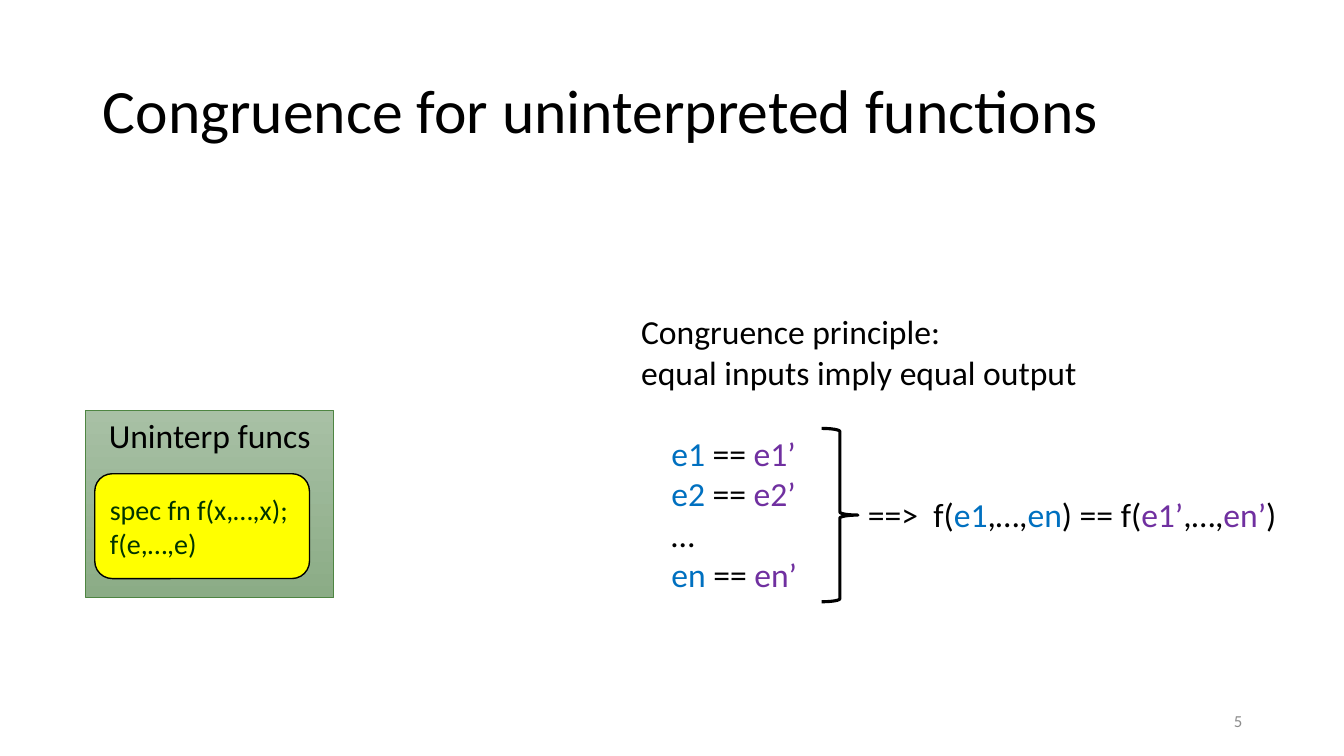
from pptx import Presentation
from pptx.dml.color import RGBColor
from pptx.enum.shapes import MSO_SHAPE as SHAPE
from pptx.enum.text import MSO_ANCHOR as ANCHOR, PP_ALIGN as ALIGN
from pptx.util import Inches, Pt
from lxml import etree

FONT = "Calibri"
BLACK, BLUE, PURPLE = "000000", "0070C0", "7030A0"
GREY, DARK_GREEN, YELLOW = "8C8C8C", "003300", "FFFF00"
A_NS = "{http://schemas.openxmlformats.org/drawingml/2006/main}"


def color(hex_code):
    return RGBColor.from_string(hex_code)


def write(tf, lines, size, align=ALIGN.LEFT, anchor=ANCHOR.TOP):
    """Fill a text frame; each line is a list of (text, colour) runs."""
    tf.word_wrap = True
    tf.vertical_anchor = anchor
    for i, runs in enumerate(lines):
        p = tf.add_paragraph() if i else tf.paragraphs[0]
        p.alignment = align
        for text, hex_code in runs:
            r = p.add_run()
            r.text = text
            r.font.name, r.font.size = FONT, Pt(size)
            r.font.color.rgb = color(hex_code)


def add_text(s, box, lines, size, **layout):
    tf = s.shapes.add_textbox(*map(Inches, box)).text_frame
    write(tf, lines, size, **layout)
    return tf


def add_outlined(s, kind, box, line, width):
    sp = s.shapes.add_shape(kind, *map(Inches, box))
    sp.shadow.inherit = False
    sp.line.color.rgb = color(line)
    sp.line.width = Pt(width)
    return sp


def add_title(s, box, text):
    sp = s.shapes.title
    sp.left, sp.top, sp.width, sp.height = map(Inches, box)
    write(sp.text_frame, [[(text, BLACK)]], 44, anchor=ANCHOR.MIDDLE)
    sp.text_frame.paragraphs[0].line_spacing = 0.9


def add_function_panel(s, x, y, w, h):
    panel = add_outlined(s, SHAPE.RECTANGLE, (x, y, w, h), "4E8542", 0.5)
    panel.fill.gradient()
    panel.fill.gradient_angle = 270
    for stop, (position, hex_code) in zip(panel.fill.gradient_stops,
                                          [(0, "A8C0A5"), (1, "8BAC86")]):
        stop.position = position
        stop.color.rgb = color(hex_code)
    write(panel.text_frame, [[("Uninterp funcs", BLACK)]], 24, align=ALIGN.CENTER)

    code = add_outlined(s, SHAPE.ROUNDED_RECTANGLE,
                        (x + 0.09, y + 0.63, 2.13, 1.04), BLACK, 1)
    code.fill.solid()
    code.fill.fore_color.rgb = color(YELLOW)
    lines = [[(text, DARK_GREEN)] for text in ("spec fn f(x,…,x);", "f(e,…,e)")]
    write(code.text_frame, lines, 20, anchor=ANCHOR.MIDDLE)


def add_congruence_rule(s, x, y, w, h):
    """Principle, equal inputs, brace and implied equality."""
    def equality(name):
        return [(name, BLUE), (" == ", BLACK), (name + "’", PURPLE)]

    principle = [[("Congruence principle:", BLACK)],
                 [("equal inputs imply equal output", BLACK)]]
    premises = [equality("e1"), equality("e2"), [("…", BLACK)], equality("en")]
    tf = add_text(s, (x, y, w, h), principle + premises, 24)
    premise_paragraphs = tf.paragraphs[len(principle):]
    premise_paragraphs[0].space_before = Pt(29.3)
    for p in premise_paragraphs:
        p._p.get_or_add_pPr().set("marL", str(Inches(0.3)))

    brace = add_outlined(s, SHAPE.RIGHT_BRACE,
                         (x + 1.89, y + 1.21, 0.36, 1.72), BLACK, 2.25)
    brace.fill.background()

    conclusion = [("==>\tf(", BLACK), ("e1", BLUE), (",…,", BLACK), ("en", BLUE),
                  (") == f(", BLACK), ("e1’", PURPLE), (",…,", BLACK),
                  ("en’", PURPLE), (")", BLACK)]
    tf = add_text(s, (x + 2.25, y + 1.81, 4.4, 0.5), [conclusion], 24)
    tabs = etree.SubElement(tf.paragraphs[0]._p.get_or_add_pPr(), A_NS + "tabLst")
    etree.SubElement(tabs, A_NS + "tab", pos=str(Inches(0.65)), algn="l")


def main():
    prs = Presentation()
    prs.slide_width, prs.slide_height = Inches(13.33), Inches(7.5)
    s = prs.slides.add_slide(prs.slide_layouts[5])
    add_title(s, (0.92, 0.4, 10.69, 1.45), "Congruence for uninterpreted functions")
    add_text(s, (9.42, 6.95, 3, 0.4), [[("5", GREY)]], 12,
             align=ALIGN.RIGHT, anchor=ANCHOR.MIDDLE)
    add_congruence_rule(s, 6.26, 3.04, 4.71, 2.93)
    add_function_panel(s, 0.85, 4.07, 2.46, 1.86)
    prs.save("out.pptx")


if __name__ == "__main__":
    main()
